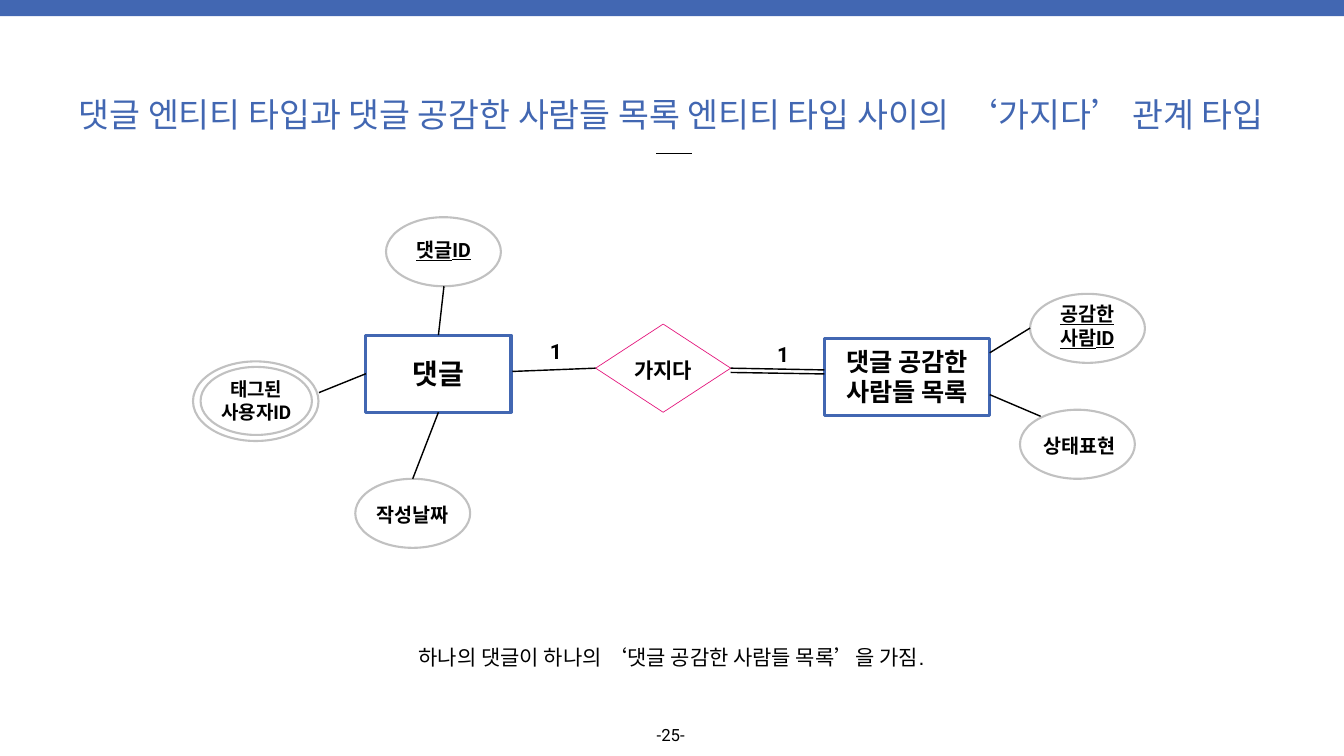
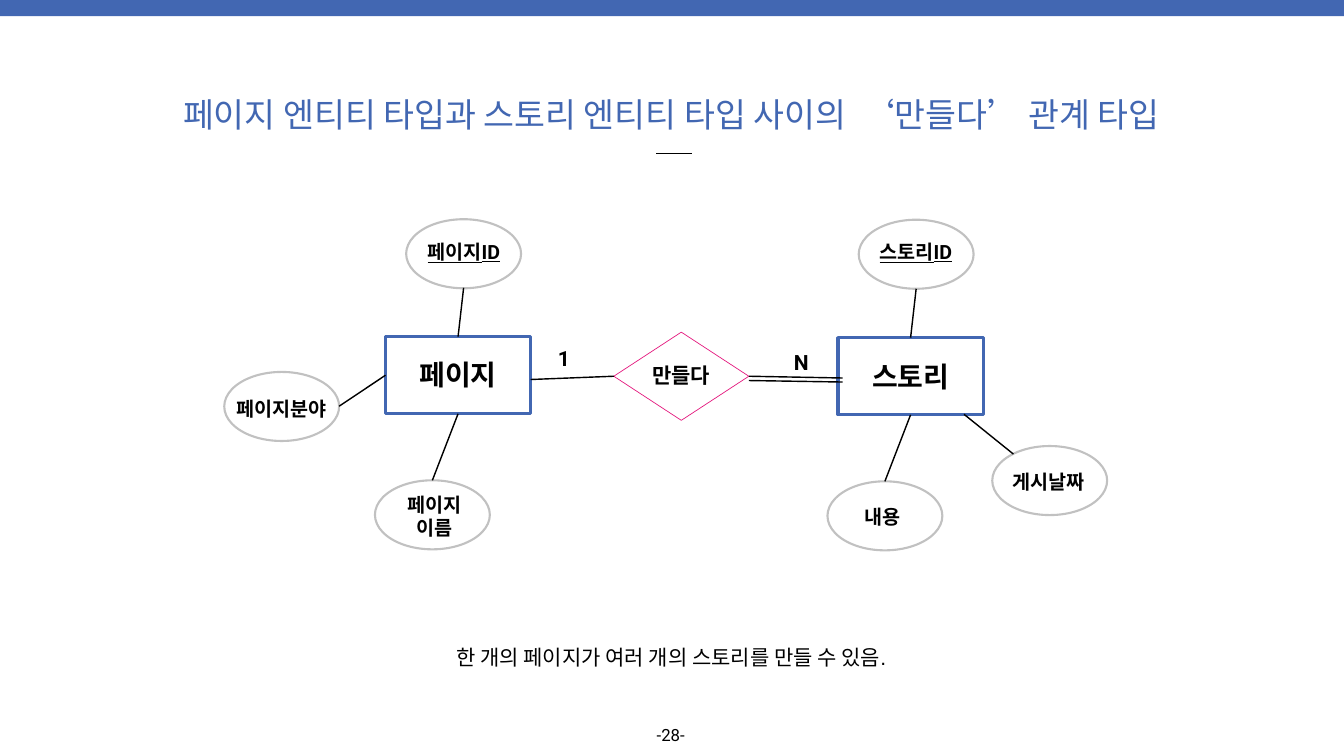
from dataclasses import dataclass
from typing import Optional

from lxml import etree
from pptx import Presentation
from pptx import util as u
from pptx.dml import color
from pptx.enum import shapes, text
from pptx.oxml import ns

Point = tuple[float, float]
Line = tuple[Point, Point]
KIND = shapes.MSO_SHAPE


# Theme: colours, fonts and type sizes
@dataclass(frozen=True)
class Theme:
    blue: str = "4267B2"
    pink: str = "E4177D"
    gray: str = "C1C1C1"
    ink: str = "000000"
    paper: str = "FFFFFF"
    plain: str = "Arial"
    strong: str = "Roboto"
    title: float = 48
    body: float = 30
    name: float = 40
    trait: float = 28
    page: float = 24
    inset: float = 0.06


LOOK = Theme()


# Parts of a diagram
@dataclass(frozen=True)
class Box:
    x: float
    y: float
    w: float
    h: float

    def inner(self, w: float, h: float, dx: float = 0, dy: float = 0) -> "Box":
        """Return a box of size w by h centred in this one, then shifted."""
        return Box(self.x + (self.w - w) / 2 + dx, self.y + (self.h - h) / 2 + dy, w, h)


@dataclass(frozen=True)
class Trait:
    label: str
    x: float
    y: float
    key: bool = False
    lines: int = 1
    wide: float = 1.93
    dx: float = 0


@dataclass(frozen=True)
class Multi:
    label: str
    x: float
    y: float


@dataclass(frozen=True)
class Entity:
    label: str
    x: float
    y: float
    w: float = 2.88
    size: float = LOOK.name
    room: Point = (2.58, 0.78)


@dataclass(frozen=True)
class Tie:
    label: str
    x: float
    y: float
    dy: float


@dataclass(frozen=True)
class Mark:
    label: str
    x: float
    y: float
    w: float = 0.35


@dataclass(frozen=True)
class Page:
    title: str
    head: Box
    note: str
    foot: Box
    number: str
    tie: Tie
    marks: list[Mark]
    traits: list[Trait]
    hosts: list[Entity]
    lines: list[Line]
    multi: Optional[Multi] = None


# Drawing helpers
def rgb(code: str) -> color.RGBColor:
    return color.RGBColor.from_string(code)


def place(box: Box) -> tuple:
    return tuple(u.Inches(round(v, 2)) for v in (box.x, box.y, box.w, box.h))


def write(shape, words: str, size: float, font: str = LOOK.strong, tint: str = LOOK.ink,
          bold: bool = False, under: bool = False, wrap: bool = True,
          anchor=text.MSO_ANCHOR.MIDDLE) -> None:
    frame = shape.text_frame
    frame.margin_left = frame.margin_right = u.Inches(LOOK.inset)
    frame.margin_top = frame.margin_bottom = u.Inches(LOOK.inset)
    frame.word_wrap = wrap
    frame.auto_size = text.MSO_AUTO_SIZE.SHAPE_TO_FIT_TEXT
    frame.vertical_anchor = anchor
    para = frame.paragraphs[0]
    para.alignment = text.PP_ALIGN.CENTER
    run = para.add_run()
    run.text = words
    run.font.size = u.Pt(size)
    run.font.name = font
    run.font.bold = bold
    run.font.underline = under
    run.font.color.rgb = rgb(tint)


def label(slide, box: Box, words: str, size: float, **style) -> None:
    write(slide.shapes.add_textbox(*place(box)), words, size, **style)


def block(slide, kind, box: Box, fill: str, edge: str = "", width: float = 0):
    shape = slide.shapes.add_shape(kind, *place(box))
    shape.shadow.inherit = False
    shape.fill.solid()
    shape.fill.fore_color.rgb = rgb(fill)
    if edge:
        shape.line.color.rgb = rgb(edge)
        shape.line.width = u.Pt(width)
    else:
        shape.line.fill.background()
    return shape


def site(docks: list, point: Point) -> Optional[tuple]:
    """Find the shape and side whose middle lies at the point."""
    for shape, box in docks:
        mid, level = box.x + box.w / 2, box.y + box.h / 2
        sides = [(mid, box.y), (box.x, level), (mid, box.y + box.h), (box.x + box.w, level)]
        for index, (x, y) in enumerate(sides):
            if abs(x - point[0]) < 0.02 and abs(y - point[1]) < 0.02:
                return shape, index
    return None


def link(slide, line: Line, docks: list) -> None:
    start, end = line
    wire = slide.shapes.add_connector(shapes.MSO_CONNECTOR.STRAIGHT,
                                      *(u.Inches(v) for v in start + end))
    wire.line.color.rgb = rgb(LOOK.ink)
    wire.line.width = u.Pt(2)
    etree.SubElement(wire.element.spPr, ns.qn("a:effectLst"))
    for point, join in ((start, wire.begin_connect), (end, wire.end_connect)):
        found = site(docks, point)
        if found:
            join(*found)


# Diagram parts
def oval(slide, box: Box) -> None:
    block(slide, KIND.OVAL, box, LOOK.paper, LOOK.gray, 3)


def trait(slide, item: Trait) -> None:
    box = Box(item.x, item.y, 2.28, 1.37)
    oval(slide, box)
    tall = 0.58 if item.lines == 1 else 1.05
    room = box.inner(1.87 if item.key else item.wide, tall,
                     item.dx, -0.05 if item.key else 0.03)
    label(slide, room, item.label, LOOK.trait, bold=True, under=item.key)


def multi(slide, item: Multi) -> None:
    outer = Box(item.x, item.y, 2.49, 1.58)
    core = outer.inner(2.21, 1.35, 0.01, -0.01)
    oval(slide, outer)
    oval(slide, core)
    label(slide, core.inner(1.65, 1.02, 0, -0.01), item.label, LOOK.trait - 1, bold=True)


def entity(slide, item: Entity) -> tuple:
    box = Box(item.x, item.y, item.w, 1.53)
    shape = block(slide, KIND.RECTANGLE, box, LOOK.paper, LOOK.blue, 4.5)
    label(slide, box.inner(*item.room, 0, -0.01), item.label, item.size, bold=True)
    return shape, box


def tie(slide, item: Tie) -> tuple:
    box = Box(item.x, item.y, 2.68, 1.75)
    shape = block(slide, KIND.DIAMOND, box, LOOK.paper, LOOK.pink, 1)
    label(slide, box.inner(1.6, 0.62, 0, item.dy), item.label, LOOK.body, bold=True)
    return shape, box


# Band, title, note, page number and short rule
def base(slide, page: Page) -> None:
    block(slide, KIND.RECTANGLE, Box(0, -0.03, 26.67, 0.35), LOOK.blue)
    head = slide.shapes.title
    head.left, head.top, head.width, head.height = place(page.head)
    write(head, page.title, LOOK.title, LOOK.plain, LOOK.blue, wrap=False)
    label(slide, page.foot, page.note, LOOK.body, font=LOOK.plain, wrap=False)
    label(slide, Box(12.95, 14.31, 0.72, 0.5), page.number, LOOK.page, wrap=False,
          anchor=text.MSO_ANCHOR.TOP)
    link(slide, ((13.02, 3.05), (13.73, 3.05)), [])


def draw(deck, page: Page) -> None:
    slide = deck.slides.add_slide(deck.slide_layouts[5])
    base(slide, page)
    docks = [tie(slide, page.tie)]
    for item in page.marks:
        label(slide, Box(item.x, item.y, item.w, 0.62), item.label, LOOK.body,
              bold=True, wrap=False)
    for item in page.traits:
        trait(slide, item)
    docks += [entity(slide, item) for item in page.hosts]
    if page.multi:
        multi(slide, page.multi)
    for line in page.lines:
        link(slide, line, docks)


# Content
PAGES = [
    Page(
        title="댓글 엔티티 타입과 댓글 공감한 사람들 목록 엔티티 타입 사이의  ‘가지다’ 관계 타입",
        head=Box(1.17, 1.81, 24.3, 0.92),
        note="하나의 댓글이 하나의 ‘댓글 공감한 사람들 목록’을 가짐.",
        foot=Box(8.2, 12.72, 10.25, 0.62),
        number="-25-",
        tie=Tie("가지다", 11.82, 6.43, 0.05),
        marks=[Mark("1", 10.85, 6.65), Mark("1", 15.36, 6.71)],
        traits=[Trait("상태표현", 20.24, 8.13, dx=0.03),
                Trait("공감한 사람ID", 20.44, 5.83, key=True, lines=2),
                Trait("작성날짜", 7.05, 9.5),
                Trait("댓글ID", 7.66, 4.31, key=True)],
        hosts=[Entity("댓글", 7.26, 6.65),
               Entity("댓글 공감한 사람들 목록", 16.36, 6.71, 3.28, 36, (3.36, 1.31))],
        multi=Multi("태그된 사용자ID", 3.83, 7.17),
        lines=[((14.5, 7.31), (16.36, 7.34)), ((14.5, 7.39), (16.36, 7.42)),
               ((11.82, 7.31), (10.17, 7.37)), ((19.64, 7), (20.44, 6.51)),
               ((19.64, 7.83), (20.65, 8.26)), ((8.81, 5.68), (8.7, 6.65)),
               ((8.7, 8.17), (8.19, 9.5)), ((6.33, 7.79), (7.26, 7.41))],
    ),
    Page(
        title="페이지 엔티티 타입과 스토리 엔티티 타입 사이의  ‘만들다’ 관계 타입",
        head=Box(3.39, 1.81, 19.87, 0.92),
        note="한 개의 페이지가 여러 개의 스토리를 만들 수 있음.",
        foot=Box(8.69, 12.72, 9.26, 0.62),
        number="-28-",
        tie=Tie("만들다", 12.18, 6.59, -0.01),
        marks=[Mark("1", 11.01, 6.79), Mark("N", 15.69, 6.87, 0.42)],
        traits=[Trait("페이지 이름", 7.44, 9.53, lines=2, dx=0.03),
                Trait("페이지ID", 8.06, 4.35, key=True),
                Trait("페이지분야", 4.45, 7.38, wide=2.28),
                Trait("내용", 16.42, 9.55, dx=-0.05),
                Trait("스토리ID", 17.04, 4.36, key=True),
                Trait("게시날짜", 19.69, 8.85, dx=-0.03)],
        hosts=[Entity("페이지", 7.65, 6.68), Entity("스토리", 16.63, 6.7)],
        lines=[((14.86, 7.47), (16.72, 7.5)), ((14.86, 7.55), (16.72, 7.58)),
               ((12.18, 7.47), (10.53, 7.53)), ((9.2, 5.71), (9.09, 6.68)),
               ((9.09, 8.2), (8.58, 9.53)), ((6.73, 8.06), (7.65, 7.44)),
               ((18.18, 5.73), (18.07, 6.7)), ((18.07, 8.22), (17.56, 9.55)),
               ((19.13, 8.22), (20.11, 9.01))],
    ),
]


def main() -> None:
    deck = Presentation()
    deck.slide_width = u.Inches(26.67)
    deck.slide_height = u.Inches(15)
    for page in PAGES:
        draw(deck, page)
    deck.save("out.pptx")


if __name__ == "__main__":
    main()
